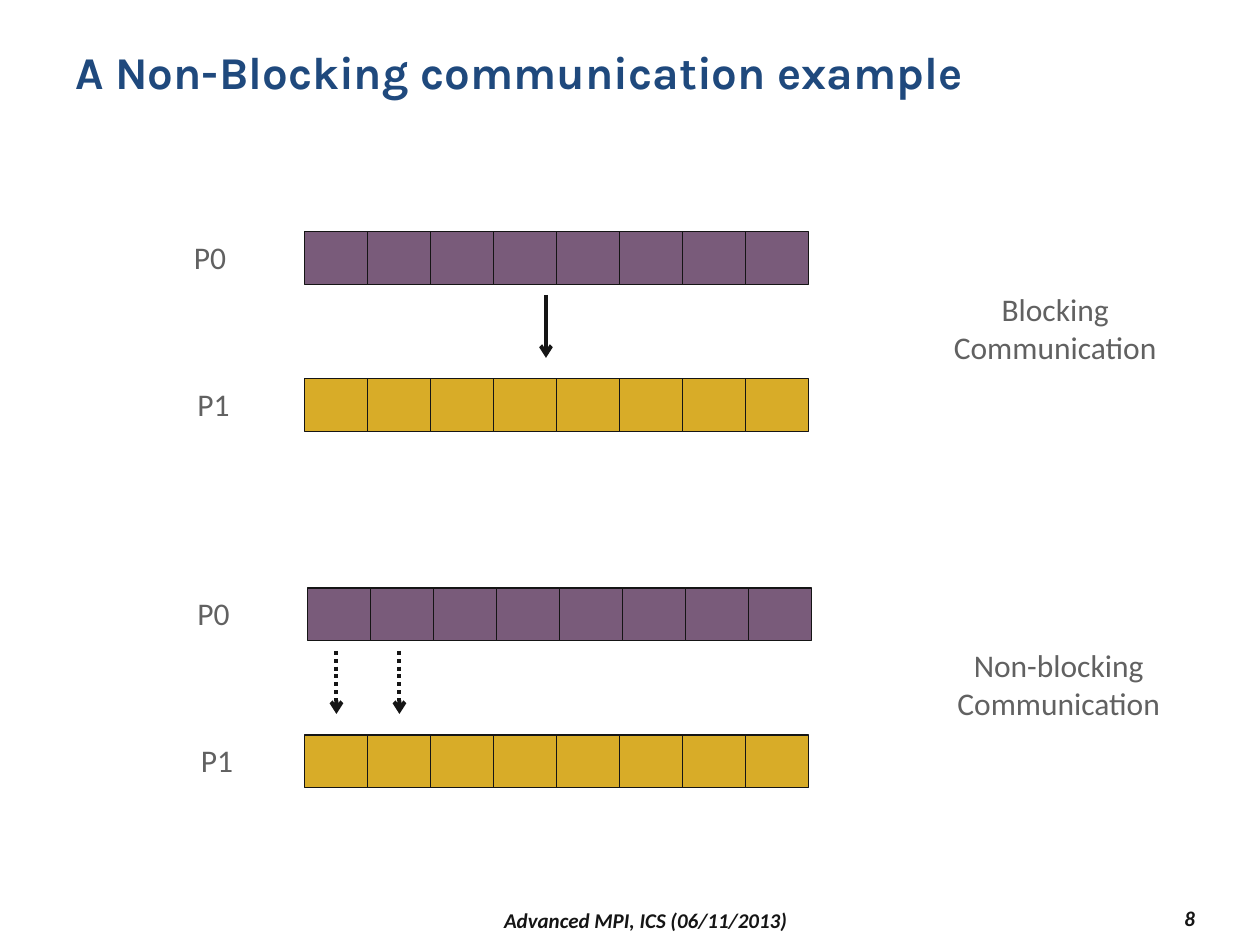
from lxml.etree import SubElement
from pptx import Presentation
from pptx.dml.color import RGBColor
from pptx.enum.dml import MSO_LINE
from pptx.enum.shapes import MSO_CONNECTOR, MSO_SHAPE
from pptx.enum.text import MSO_ANCHOR, PP_ALIGN
from pptx.oxml.ns import qn
from pptx.util import Pt

COLORS = {
    "title": "1F497D",
    "sender": "795B7A",
    "receiver": "D8AC28",
    "ink": "151515",
    "label": "616161",
}
CELL_COUNT = 8
CELL_WIDTH = 36
CELL_HEIGHT = 30


def color(name):
    return RGBColor.from_string(COLORS[name])


def add_text(slide, box, text, size, color_name, align=PP_ALIGN.CENTER,
             anchor=MSO_ANCHOR.TOP, font="Calibri", bold=False, italic=False):
    frame = slide.shapes.add_textbox(*map(Pt, box)).text_frame
    frame.word_wrap = True
    frame.vertical_anchor = anchor
    frame.text = text
    paragraph = frame.paragraphs[0]
    paragraph.alignment = align
    run_font = paragraph.runs[0].font
    run_font.name = font
    run_font.size = Pt(size)
    run_font.bold = bold
    run_font.italic = italic
    run_font.color.rgb = color(color_name)


def add_buffer(slide, left, top, color_name):
    for index in range(CELL_COUNT):
        cell = slide.shapes.add_shape(
            MSO_SHAPE.RECTANGLE, Pt(left + index * CELL_WIDTH), Pt(top),
            Pt(CELL_WIDTH), Pt(CELL_HEIGHT))
        cell.shadow.inherit = False
        cell.fill.solid()
        cell.fill.fore_color.rgb = color(color_name)
        cell.line.color.rgb = color("ink")
        cell.line.width = Pt(0.75)


def add_arrow(slide, x, top, bottom, dash):
    arrow = slide.shapes.add_connector(
        MSO_CONNECTOR.STRAIGHT, Pt(x), Pt(top), Pt(x), Pt(bottom))
    arrow.line.color.rgb = color("ink")
    arrow.line.width = Pt(2.25)
    if dash:
        arrow.line.dash_style = dash
    SubElement(arrow.line._get_or_add_ln(), qn("a:tailEnd"), type="arrow")
    SubElement(arrow._element.spPr, qn("a:effectLst"))


def add_exchange(slide, left, top, sender_left, arrow_offsets, caption, dash=None):
    receiver_top = top + 84
    add_buffer(slide, sender_left, top, "sender")
    add_text(slide, (left, top, 48, 29), "P0", 18, "label")
    add_buffer(slide, 174, receiver_top, "receiver")
    add_text(slide, (left + 2, receiver_top, 48, 29), "P1", 18, "label")
    for offset in arrow_offsets:
        add_arrow(slide, sender_left + offset, top + 36, top + 72, dash)
    add_text(slide, (left + 420, top + 29.5, 174, 51), caption, 18, "label")


def add_title(slide, box):
    add_text(slide, box, "A Non-Blocking communication example", 26, "title",
             align=PP_ALIGN.LEFT, font="Karla", bold=True)


def add_footer(slide, left, top):
    style = {"anchor": MSO_ANCHOR.MIDDLE, "bold": True, "italic": True}
    add_text(slide, (left, top + 1.5, 426, 19.5),
             "Advanced MPI, ICS (06/11/2013)", 12, "ink", **style)
    add_text(slide, (left + 456, top, 78, 19.5), "8", 12, "ink",
             align=PP_ALIGN.RIGHT, **style)


def main():
    presentation = Presentation()
    presentation.slide_width = Pt(720)
    presentation.slide_height = Pt(540)
    slide = presentation.slides.add_slide(presentation.slide_layouts[6])
    add_title(slide, (36, 21.6, 648, 62.6))
    add_exchange(slide, 96, 132.5, 174, [138], "Blocking Communication")
    add_exchange(slide, 98, 336, 175.75, [16.5, 52.5],
                 "Non-blocking Communication", MSO_LINE.ROUND_DOT)
    add_footer(slide, 156, 514.8)
    presentation.save("out.pptx")


if __name__ == "__main__":
    main()
